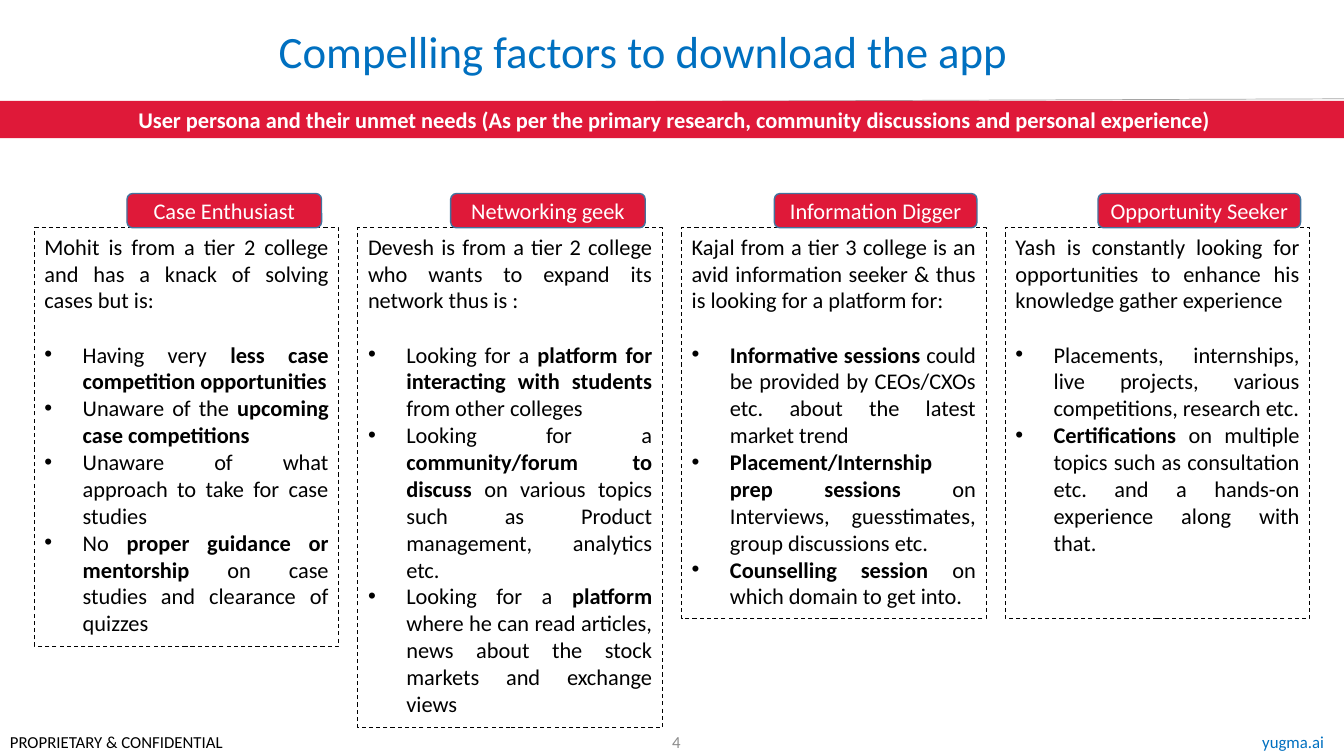
from lxml import etree
from pptx import Presentation, util as u
from pptx.dml.color import RGBColor
from pptx.enum import dml, shapes, text
from pptx.oxml import ns

TITLE = "Compelling factors to download the app"
BANNER = ("User persona and their unmet needs (As per the primary research, "
          "community discussions and personal experience)")
PERSONAS = [
    {"name": "Case Enthusiast", "tag_width": 1.93, "lines": 15,
     "intro": "Mohit is from a tier 2 college and has a knack of solving cases but is:",
     "needs": ["Having very *less case competition opportunities*",
               "Unaware of the *upcoming case competitions*",
               "Unaware of what approach to take for case studies",
               "No *proper guidance or mentorship *on case studies and clearance of quizzes"]},
    {"name": "Networking geek", "tag_width": 1.93, "lines": 18,
     "intro": "Devesh is from a tier 2 college who wants to expand its network thus is :",
     "needs": ["Looking for a *platform for interacting with students *from other colleges",
               "Looking for a *community/forum to discuss *on various topics such as "
               "Product management, analytics etc.",
               "Looking for a *platform* where he can read articles, news about the "
               "stock markets and exchange views"]},
    {"name": "Information Digger", "tag_width": 2.01, "lines": 14,
     "intro": "Kajal from a tier 3 college is an avid information seeker & thus is "
              "looking for a platform for:",
     "needs": ["*Informative sessions *could be provided by CEOs/CXOs etc. about the "
               "latest market trend",
               "*Placement/Internship prep sessions *on Interviews, guesstimates, "
               "group discussions etc.",
               "*Counselling session *on which domain to get into."]},
    {"name": "Opportunity Seeker", "tag_width": 2.01, "lines": 14,
     "intro": "Yash is constantly looking for opportunities to enhance his knowledge "
              "gather experience",
     "needs": ["Placements, internships, live projects, various competitions, research etc.",
               "*Certifications* on multiple topics such as consultation etc. and a "
               "hands-on experience along with that."]},
]

RED = RGBColor(0xDF, 0x19, 0x39)
BLUE = RGBColor(0x00, 0x70, 0xC0)
EDGE = RGBColor(0x43, 0x73, 0x9E)
RULE = RGBColor(0xA5, 0xA5, 0xA5)
GREY = RGBColor(0x8C, 0x8C, 0x8C)
BLACK = RGBColor(0, 0, 0)
WHITE = RGBColor(0xFF, 0xFF, 0xFF)
ALIGN = text.PP_ALIGN
TOP, MIDDLE = text.MSO_ANCHOR.TOP, text.MSO_ANCHOR.MIDDLE

WIDTH, HEIGHT = 13.33, 7.5
MARGIN, PITCH, BOX_WIDTH, BOX_TOP = 0.34, 3.21, 3.02, 2.26
LINE, PADDING = 0.27, 0.1
TAG_SHIFT, TAG_HEIGHT = 0.92, 0.34
FOOT_TOP, FOOT_HEIGHT = 7.21, 0.3
INDENT = 0.38


def place(left, top, width, height):
    return [u.Inches(value) for value in (left, top, width, height)]


def write(shape, content, size=16, color=BLACK, align=ALIGN.LEFT, anchor=TOP,
          bold=False, wrap=True, spacing=1, after=0, bullet=False, add=False):
    frame = shape.text_frame
    frame.auto_size = text.MSO_AUTO_SIZE.NONE
    frame.word_wrap = wrap
    frame.vertical_anchor = anchor
    para = frame.add_paragraph() if add else frame.paragraphs[0]
    para.alignment, para.line_spacing = align, spacing
    para.space_before, para.space_after = u.Pt(0), u.Pt(after)
    props = para._p.get_or_add_pPr()
    props.set("marL", str(u.Inches(INDENT) if bullet else 0))
    props.set("indent", str(-u.Inches(INDENT) if bullet else 0))
    if bullet:
        etree.SubElement(props, ns.qn("a:buFont"), typeface="Arial")
        etree.SubElement(props, ns.qn("a:buChar"), char="•")
    else:
        etree.SubElement(props, ns.qn("a:buNone"))
    for index, part in enumerate(content.split("*")):
        if part:
            span = para.add_run()
            span.text = part
            span.font.name, span.font.size = "Calibri", u.Pt(size)
            span.font.bold = bold or index % 2 == 1
            span.font.color.rgb = color


def add_block(page, kind, area, edge=None):
    block = page.shapes.add_shape(kind, *place(*area))
    block.shadow.inherit = False
    block.fill.solid()
    block.fill.fore_color.rgb = RED
    if edge is None:
        block.line.fill.background()
    else:
        block.line.color.rgb = edge
        block.line.width = u.Pt(1)
    return block


def add_persona(page, holder, column, persona):
    left = MARGIN + column * PITCH
    holder.left, holder.top, holder.width, holder.height = place(
        left, BOX_TOP, BOX_WIDTH, PADDING + LINE * persona["lines"])
    holder.line.color.rgb = BLACK
    holder.line.width = u.Pt(0.75)
    holder.line.dash_style = dml.MSO_LINE.DASH
    write(holder, persona["intro"], align=ALIGN.JUSTIFY, after=19.5)
    for need in persona["needs"]:
        write(holder, need, align=ALIGN.JUSTIFY, bullet=True, add=True)
    tag = add_block(page, shapes.MSO_SHAPE.ROUNDED_RECTANGLE,
                    (left + TAG_SHIFT, BOX_TOP - TAG_HEIGHT,
                     persona["tag_width"], TAG_HEIGHT), EDGE)
    write(tag, persona["name"], color=WHITE, align=ALIGN.CENTER, anchor=MIDDLE)


def add_footer(page, content, left, width, **style):
    box = page.shapes.add_textbox(*place(left, FOOT_TOP, width, FOOT_HEIGHT))
    write(box, content, size=12, **style)


def main():
    deck = Presentation()
    deck.slide_width, deck.slide_height = u.Inches(WIDTH), u.Inches(HEIGHT)
    page = deck.slides.add_slide(deck.slide_layouts.get_by_name("Comparison"))

    title, *holders = page.placeholders
    title.left, title.top, title.width, title.height = place(1.65, 0.23, 9.46, 0.61)
    write(title, TITLE, size=32, color=BLUE, align=ALIGN.CENTER, anchor=MIDDLE, spacing=0.9)

    rule = page.shapes.add_connector(shapes.MSO_CONNECTOR.STRAIGHT,
                                     *place(0, 1.03, WIDTH, 0.98))
    rule.line.color.rgb = RULE
    rule.line.width = u.Pt(0.5)
    etree.SubElement(rule._element.spPr, ns.qn("a:effectLst"))

    banner = add_block(page, shapes.MSO_SHAPE.RECTANGLE, (0, 1, 13.38, 0.37))
    write(banner, BANNER, color=WHITE, align=ALIGN.CENTER, bold=True)

    for column, (holder, persona) in enumerate(zip(holders, PERSONAS)):
        add_persona(page, holder, column, persona)

    add_footer(page, "PROPRIETARY & CONFIDENTIAL", 0, 3.57)
    add_footer(page, "4", 5.21, 3, color=GREY, align=ALIGN.CENTER, anchor=MIDDLE)
    add_footer(page, "yugma.ai", 12.42, 0.82, color=BLUE, wrap=False)
    deck.save("out.pptx")


if __name__ == "__main__":
    main()
